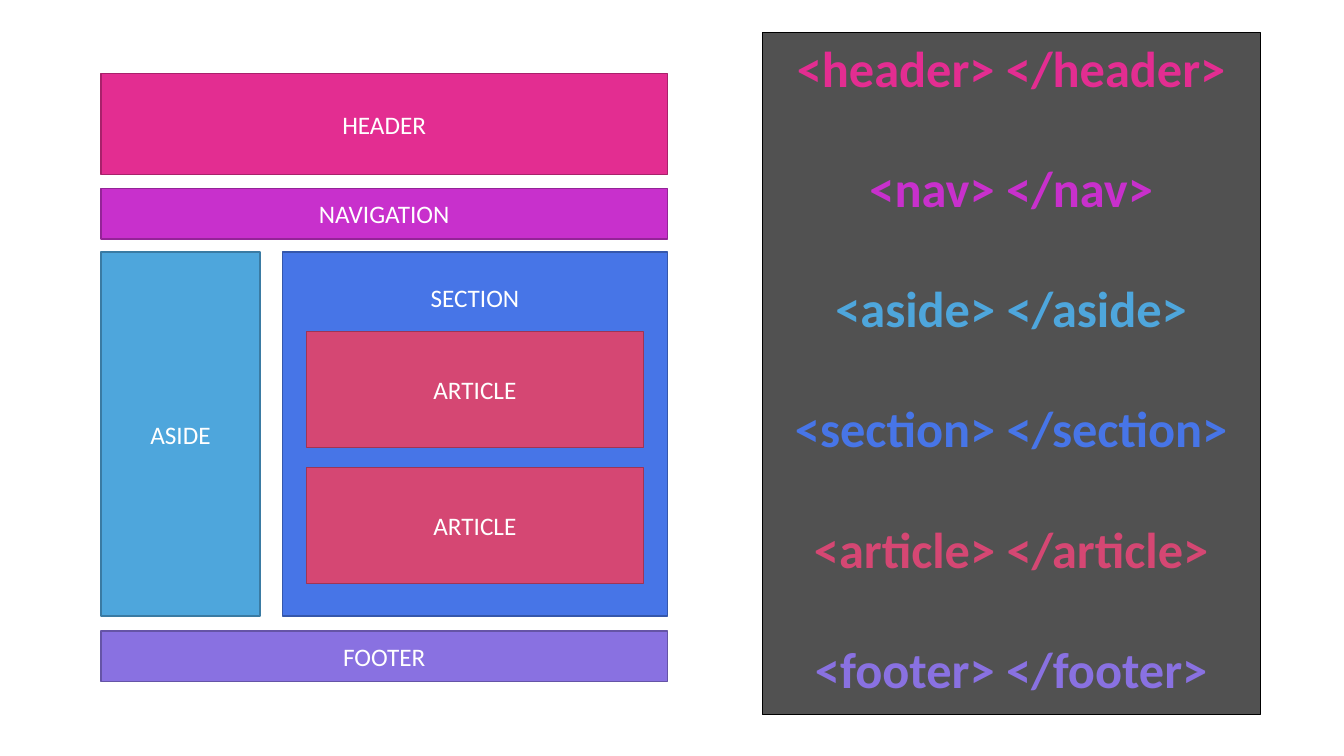
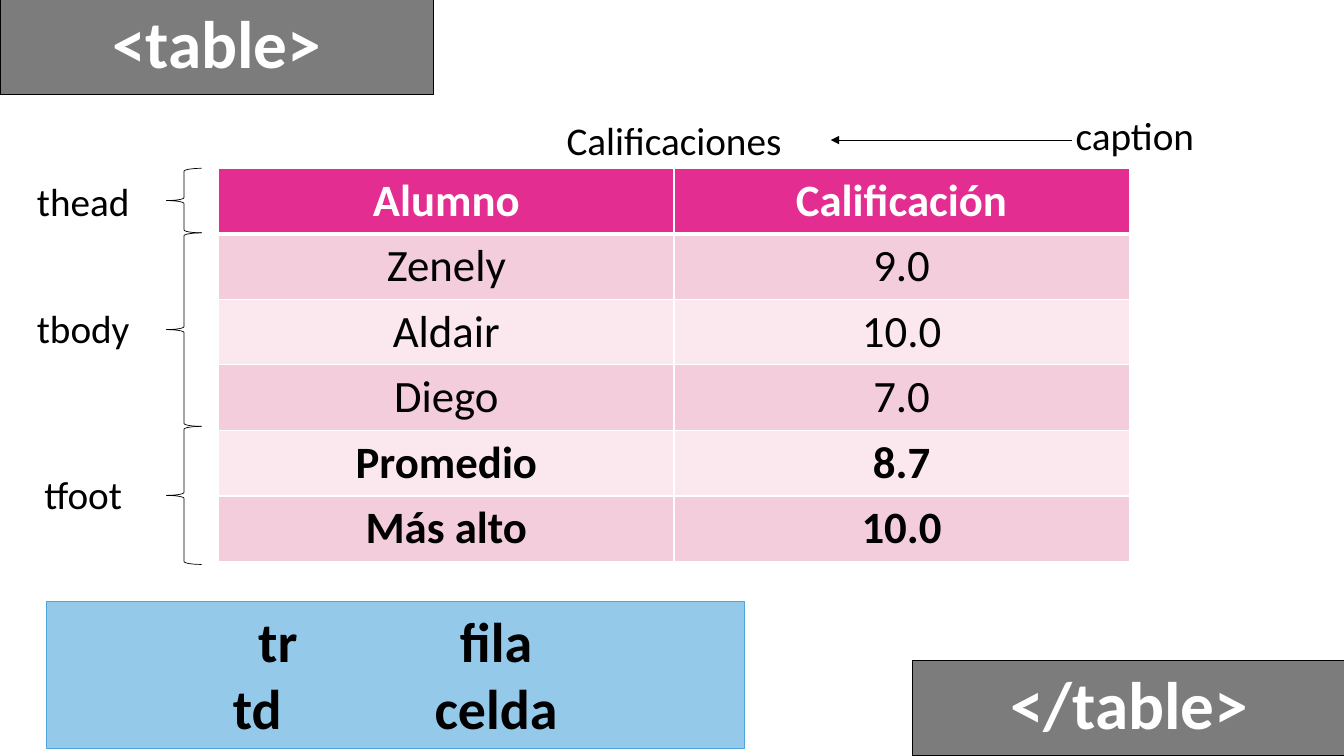
from lxml import etree
from pptx import Presentation
from pptx.dml.color import RGBColor
from pptx.enum.shapes import MSO_CONNECTOR, MSO_SHAPE
from pptx.enum.text import MSO_ANCHOR, MSO_AUTO_SIZE, PP_ALIGN
from pptx.oxml.ns import qn
from pptx.util import Inches, Pt

RECT, BRACE = MSO_SHAPE.RECTANGLE, MSO_SHAPE.LEFT_BRACE
TOP, MIDDLE = MSO_ANCHOR.TOP, MSO_ANCHOR.MIDDLE
CENTER = PP_ALIGN.CENTER
NO_FIT = MSO_AUTO_SIZE.NONE
STRAIGHT = MSO_CONNECTOR.STRAIGHT

FONT = "Calibri"
COLORS = {
    "header": "E32D91", "nav": "C830CC", "aside": "4EA6DC",
    "section": "4775E7", "article": "D54773", "footer": "8971E1",
    "dark": "262626", "black": "000000", "white": "FFFFFF",
    "band": "F4CDDC", "light_band": "FAE8EE",
}
LABEL = {"size": Pt(18), "bold": False}
TAG = {"size": Pt(36), "bold": True}
BANNER = {"size": Pt(48), "bold": True}
NOTE = {"size": Pt(28), "bold": False}
KEY = {"size": Pt(40), "bold": True}


def paint(sp, fill, line, width, alpha=None):
    """Give a shape its fill, outline and optional opacity in percent."""
    sp.fill.solid()
    sp.fill.fore_color.rgb = RGBColor.from_string(fill)
    if alpha:
        color = sp.fill._xPr.find(qn("a:solidFill"))[0]
        etree.SubElement(color, qn("a:alpha")).set("val", str(alpha * 1000))
    sp.line.color.rgb = RGBColor.from_string(line)
    sp.line.width = Pt(width)
    if not sp.is_placeholder:
        sp.shadow.inherit = False


def write(tf, lines, style, anchor=TOP, gap=0, spacing=None, tabs=()):
    """Fill a text frame with centred (text, colour) paragraphs."""
    tf.word_wrap = True
    tf.auto_size = NO_FIT
    tf.vertical_anchor = anchor
    for i, (text, color) in enumerate(lines):
        p = tf.add_paragraph() if i else tf.paragraphs[0]
        p.alignment = CENTER
        p.line_spacing = spacing
        p.space_before = Pt(gap if i else 0)
        if tabs:
            tab_list = etree.SubElement(p._p.get_or_add_pPr(), qn("a:tabLst"))
            for pos in tabs:
                tab = etree.SubElement(tab_list, qn("a:tab"))
                tab.set("pos", str(Inches(pos)))
                tab.set("algn", "l")
        r = p.add_run()
        r.text = text
        r.font.name = FONT
        r.font.color.rgb = RGBColor.from_string(COLORS[color])
        for name, value in style.items():
            setattr(r.font, name, value)


prs = Presentation()
prs.slide_width, prs.slide_height = Inches(13.33), Inches(7.5)

# Slide 1: page layout made of semantic blocks
s = prs.slides.add_slide(prs.slide_layouts[6])
blocks = [
    ("HEADER", "header", 1, 0.73, 5.62, 1),
    ("NAVIGATION", "nav", 1, 1.87, 5.62, 0.5),
    ("ASIDE", "aside", 1, 2.5, 1.58, 3.61),
    ("SECTION", "section", 2.8, 2.5, 3.82, 3.61),
    ("ARTICLE", "article", 3.04, 3.29, 3.34, 1.15),
    ("ARTICLE", "article", 3.04, 4.64, 3.34, 1.15),
    ("FOOTER", "footer", 1, 6.26, 5.62, 0.5),
]
for text, color, *place in blocks:
    sp = s.shapes.add_shape(RECT, *map(Inches, place))
    fill = RGBColor.from_string(COLORS[color])
    outline = "".join(f"{round(part * 0.74):02X}" for part in fill)
    paint(sp, COLORS[color], outline, 1)
    if color == "section":
        sp.text_frame.margin_top = Inches(0.3)
    write(sp.text_frame, [(text, "white")], LABEL,
          TOP if color == "section" else MIDDLE)

# Matching tags
sp = s.shapes.add_shape(RECT, Inches(7.56), Inches(0.32), Inches(4.94), Inches(6.77))
paint(sp, COLORS["dark"], COLORS["black"], 0.75, 80)
tags = ["header", "nav", "aside", "section", "article", "footer"]
write(sp.text_frame, [(f"<{tag}> </{tag}>", tag) for tag in tags], TAG, gap=42.6)

# Slide 2: parts of a table, between its opening and closing tags
s = prs.slides.add_slide(prs.slide_layouts[5])
closing = s.shapes.add_shape(RECT, 0, 0, 0, 0)
for sp, text, left, top in [(s.shapes.title, "<table>", 0, -0.01),
                            (closing, "</table>", 9.05, 6.55)]:
    sp.left, sp.top = Inches(left), Inches(top)
    sp.width, sp.height = Inches(4.3), Inches(0.95)
    paint(sp, COLORS["dark"], COLORS["black"], 0.75, 60)
    write(sp.text_frame, [(text, "white")], BANNER, MIDDLE, spacing=0.9)

# Grades table
rows = [
    ("Alumno", "Calificación"), ("Zenely", "9.0"), ("Aldair", "10.0"),
    ("Diego", "7.0"), ("Promedio", "8.7"), ("Más alto", "10.0"),
]
table = s.shapes.add_table(len(rows), 2, Inches(2.17), Inches(1.67),
                           Inches(9.03), Inches(3.92)).table
for i, row in enumerate(rows):
    table.rows[i].height = Inches(0.65)
    if i == 0:
        fill, color = "header", "white"
    else:
        fill, color = ("band" if i % 2 else "light_band"), "black"
    for j, text in enumerate(row):
        cell = table.cell(i, j)
        p = cell.text_frame.paragraphs[0]
        p.alignment = CENTER
        r = p.add_run()
        r.text = text
        r.font.name, r.font.size = FONT, Pt(32)
        r.font.bold = i in (0, 4, 5)
        r.font.color.rgb = RGBColor.from_string(COLORS[color])
        # Borders come before the fill in the cell properties
        tc_pr = cell._tc.get_or_add_tcPr()
        for side in ("lnL", "lnR", "lnT", "lnB"):
            thick = (i, side) in ((0, "lnB"), (1, "lnT"))
            ln = etree.SubElement(tc_pr, qn(f"a:{side}"))
            ln.set("w", str(Pt(3 if thick else 1)))
            solid = etree.SubElement(ln, qn("a:solidFill"))
            etree.SubElement(solid, qn("a:srgbClr")).set("val", COLORS["white"])
        cell.fill.solid()
        cell.fill.fore_color.rgb = RGBColor.from_string(COLORS[fill])

# Braces beside the row groups
for top, height in [(1.67, 0.64), (2.31, 1.92), (4.23, 1.37)]:
    sp = s.shapes.add_shape(BRACE, Inches(1.65), Inches(top), Inches(0.35), Inches(height))
    sp.shadow.inherit = False
    sp.fill.background()
    sp.line.color.rgb = RGBColor.from_string(COLORS["black"])
    sp.line.width = Pt(0.5)

# Caption and part names
notes = [
    ("Calificaciones", 2.17, 1.1, 9.03), ("thead", 0, 1.71, 1.65),
    ("tbody", 0, 2.97, 1.65), ("tfoot", 0, 4.62, 1.65),
    ("caption", 10.43, 1.06, 1.65),
]
for text, left, top, width in notes:
    sp = s.shapes.add_textbox(Inches(left), Inches(top), Inches(width), Inches(0.57))
    write(sp.text_frame, [(text, "black")], NOTE)

# Arrow from the part name to the caption
arrow = s.shapes.add_connector(STRAIGHT, Inches(10.63), Inches(1.39),
                               Inches(8.24), Inches(1.39))
arrow.line.color.rgb = RGBColor.from_string(COLORS["black"])
arrow.line.width = Pt(0.5)
etree.SubElement(arrow.line._get_or_add_ln(), qn("a:tailEnd")).set("type", "triangle")
etree.SubElement(arrow._element.spPr, qn("a:effectLst"))

# Key to the row and cell tags
sp = s.shapes.add_shape(RECT, Inches(0.46), Inches(5.97), Inches(6.92), Inches(1.45))
paint(sp, COLORS["aside"], COLORS["aside"], 0.5, 60)
write(sp.text_frame, [("tr\t\tfila", "black"), ("td\t\tcelda", "black")], KEY, tabs=(1, 2))

prs.save("out.pptx")
